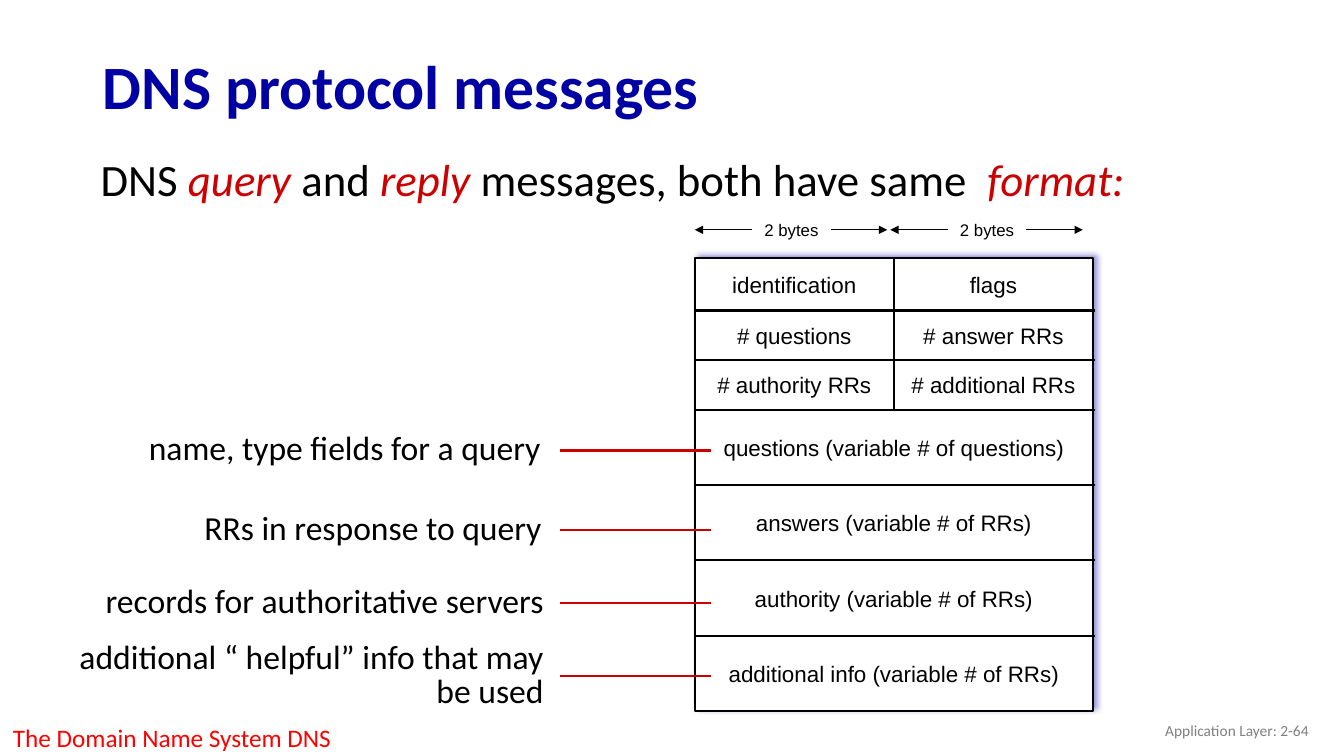
from lxml import etree
from pptx import Presentation
from pptx.dml.color import RGBColor
from pptx.enum.shapes import MSO_CONNECTOR, MSO_SHAPE
from pptx.enum.text import MSO_ANCHOR, PP_ALIGN
from pptx.oxml import parse_xml
from pptx.oxml.ns import nsdecls, qn
from pptx.util import Inches, Pt

COLORS = {
    "ink": "000000", "paper": "FFFFFF", "navy": "0000A3",
    "accent": "CC0000", "footer": "FF0000", "gray": "808080",
}
TITLE = "DNS protocol messages"
INTRO = [
    ("DNS ", False), ("query ", True), ("and ", False), ("reply", True),
    (" messages, both have same  ", False), ("format:", True),
]
FIELD_ROWS = [
    ("identification", "flags"),
    ("# questions", "# answer RRs"),
    ("# authority RRs", "# additional RRs"),
    ("questions (variable # of questions)",),
    ("answers (variable # of RRs)",),
    ("authority (variable # of RRs)",),
    ("additional info (variable # of RRs)",),
]
ROW_EDGES = [2.56, 3.08, 3.57, 4.07, 4.81, 5.56, 6.31, 7.05]
CALLOUTS = [
    ("name, type fields for a query", 4.47, 5.46, 0.45),
    ("RRs in response to query", 5.26, 5.47, 0.45),
    ("records for authoritative servers", 5.98, 5.49, 0.45),
    ("additional “ helpful” info that may be used", 6.71, 5.49, 0.79),
]
FORMAT_LEFT, FORMAT_WIDTH = 6.89, 3.95
HEADER_ROWS = 3
BYTE_COLUMNS = [6.89, 8.83]
BYTE_ARROW_Y = 2.28
CALLOUT_LEFT = 0.44

presentation = Presentation()
presentation.slide_width = Inches(13.33)
presentation.slide_height = Inches(7.5)
slide = presentation.slides.add_slide(presentation.slide_layouts[6])


def color(name):
    return RGBColor.from_string(COLORS[name])


def add_text(text, left, top, width, height, size, ink="ink", font="Calibri",
             align=PP_ALIGN.LEFT, anchor=MSO_ANCHOR.MIDDLE, wrap=True, spacing=None):
    box = slide.shapes.add_textbox(Inches(left), Inches(top), Inches(width), Inches(height))
    frame = box.text_frame
    frame.word_wrap = wrap
    frame.vertical_anchor = anchor
    frame.text = text
    paragraph = frame.paragraphs[0]
    paragraph.alignment = align
    paragraph.line_spacing = spacing
    for run in paragraph.runs:
        run.font.name = font
        run.font.size = Pt(size)
        run.font.color.rgb = color(ink)
    return paragraph


def add_line(x1, y1, x2, y2, ink="ink", width=1.5, arrow=False):
    line = slide.shapes.add_connector(
        MSO_CONNECTOR.STRAIGHT, Inches(x1), Inches(y1), Inches(x2), Inches(y2))
    line.line.color.rgb = color(ink)
    line.line.width = Pt(width)
    if arrow:
        etree.SubElement(line.line._get_or_add_ln(), qn("a:tailEnd"), type="triangle")
    etree.SubElement(line._element.spPr, qn("a:effectLst"))
    return line


def add_centered_label(text, center, middle, width, height, size):
    add_text(text, center - width / 2, middle - height / 2, width, height, size,
             font="Arial", align=PP_ALIGN.CENTER, wrap=False)


def add_message_format():
    frame = slide.shapes.add_shape(
        MSO_SHAPE.RECTANGLE, Inches(FORMAT_LEFT), Inches(ROW_EDGES[0]),
        Inches(FORMAT_WIDTH), Inches(ROW_EDGES[-1] - ROW_EDGES[0]))
    frame.fill.solid()
    frame.fill.fore_color.rgb = color("paper")
    frame.line.color.rgb = color("ink")
    frame.line.width = Pt(1.5)
    frame._element.spPr.append(parse_xml(
        f'<a:effectLst {nsdecls("a")}>'
        f'<a:outerShdw blurRad="{Pt(4)}" dist="{Pt(3)}" dir="18900000" algn="bl" rotWithShape="0">'
        f'<a:srgbClr val="{COLORS["navy"]}"><a:alpha val="40000"/></a:srgbClr>'
        '</a:outerShdw></a:effectLst>'))

    for edge in ROW_EDGES[1:-1]:
        add_line(FORMAT_LEFT - 0.01, edge, FORMAT_LEFT + FORMAT_WIDTH + 0.02, edge)
    middle_x = FORMAT_LEFT + FORMAT_WIDTH / 2
    divider = add_line(middle_x, ROW_EDGES[0], middle_x, ROW_EDGES[HEADER_ROWS])
    divider.begin_connect(frame, 0)

    for fields, top, bottom in zip(FIELD_ROWS, ROW_EDGES, ROW_EDGES[1:]):
        cell_width = FORMAT_WIDTH / len(fields)
        for column, field in enumerate(fields):
            center = FORMAT_LEFT + cell_width * (column + 0.5)
            add_centered_label(field, center, (top + bottom) / 2, cell_width, 0.37, 16)

    for left in BYTE_COLUMNS:
        add_centered_label("2 bytes", left + 0.96, BYTE_ARROW_Y, 0.74, 0.3, 12)
        for start, end in [(1.35, 1.91), (0.57, 0)]:
            add_line(left + start, BYTE_ARROW_Y, left + end, BYTE_ARROW_Y, width=0.75, arrow=True)


def add_intro():
    paragraph = add_text("", 0.76, 1.52, 11.37, 0.56, 32, anchor=MSO_ANCHOR.TOP, spacing=0.9)
    paragraph._p.get_or_add_pPr().set("marL", str(Inches(0.14)))
    for text, emphasized in INTRO:
        run = paragraph.add_run()
        run.text = text
        run.font.name = "Calibri"
        run.font.size = Pt(32)
        run.font.italic = emphasized
        run.font.color.rgb = color("accent" if emphasized else "ink")


def main():
    title = add_text(TITLE, 0.92, 0.4, 11.5, 0.98, 44, ink="navy", spacing=0.9)
    title.runs[0].font.bold = True
    add_message_format()
    add_intro()
    for text, middle, right, height in CALLOUTS:
        add_text(text, CALLOUT_LEFT, middle - height / 2, right - CALLOUT_LEFT, height, 24,
                 align=PP_ALIGN.RIGHT, spacing=0.85)
        add_line(7.05, middle, 5.55, middle, ink="accent")
    add_text("Application Layer: 2-64", 10.08, 7.05, 3, 0.4, 11, ink="gray", align=PP_ALIGN.RIGHT)
    add_text("The Domain Name System DNS", 0.03, 7.12, 6.73, 0.4, 18, ink="footer",
             anchor=MSO_ANCHOR.TOP)
    presentation.save("out.pptx")


if __name__ == "__main__":
    main()
